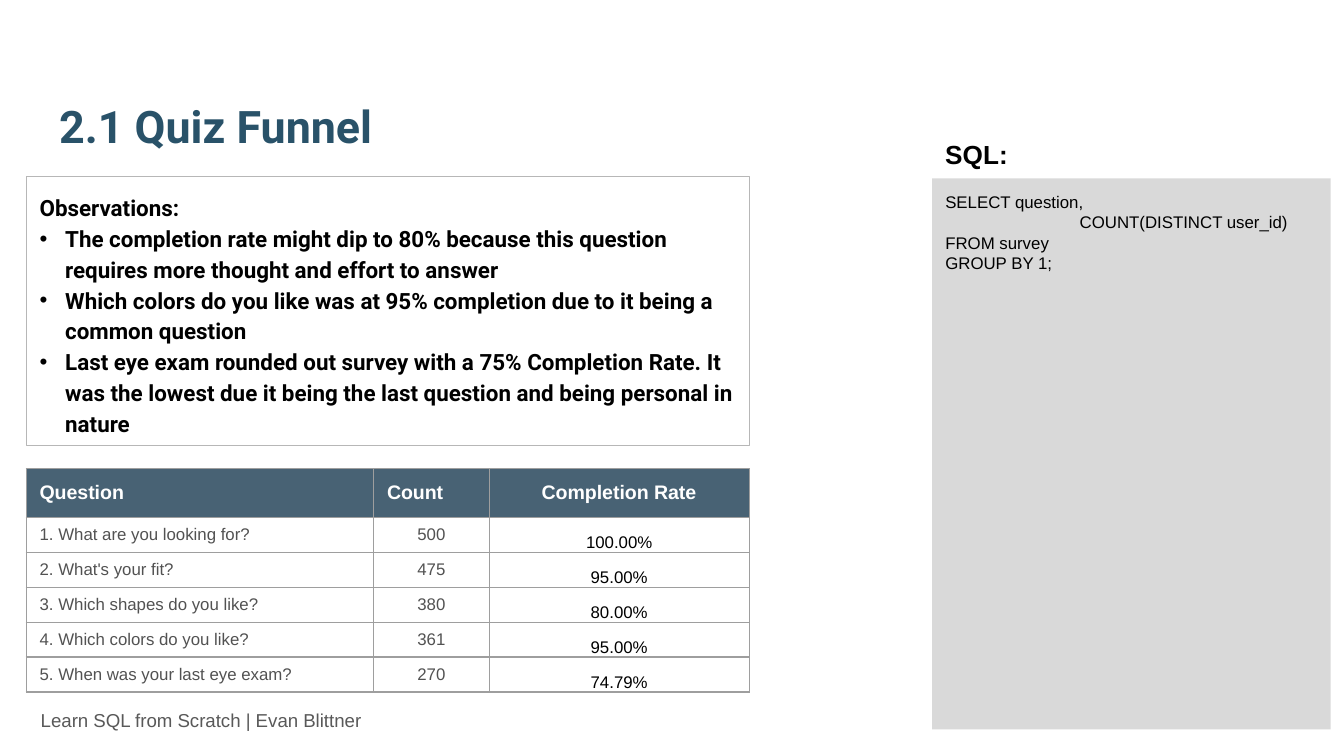
"""Builds the quiz funnel slide with its observations, result table and query."""
from dataclasses import dataclass

from lxml.etree import SubElement
from pptx import Presentation
from pptx.dml.color import RGBColor
from pptx.enum.shapes import MSO_SHAPE as Shape
from pptx.enum.text import MSO_ANCHOR as Anchor, MSO_AUTO_SIZE as AutoSize, PP_ALIGN as Align
from pptx.oxml.ns import qn
from pptx.util import Inches, Pt


@dataclass(frozen=True)
class Theme:
    """Colours, fonts and type sizes of the slide."""
    title: str = "295269"
    ink: str = "000000"
    muted: str = "595959"
    cell: str = "525252"
    white: str = "FFFFFF"
    header: str = "204056"
    header_alpha: int = 82
    panel: str = "D9D9D9"
    frame: str = "B7B7B7"
    border: str = "9E9E9E"
    display: str = "Roboto"
    plain: str = "Arial"
    title_size: float = 24
    label_size: float = 14
    list_size: float = 12
    header_size: float = 10.5
    footer_size: float = 10
    small_size: float = 9
    line: float = 0.75


class SlideBuilder:
    """Places styled elements on one slide, measured in percent of its size."""

    def __init__(self, deck, theme):
        """Adds the slide and keeps its theme."""
        self.deck, self.theme = deck, theme
        self.page = deck.slides.add_slide(deck.slide_layouts[1])

    def area(self, left, top, width, height):
        """Turns percentages into slide lengths."""
        column, row = self.deck.slide_width / 100, self.deck.slide_height / 100
        return int(left * column), int(top * row), int(width * column), int(height * row)

    def move(self, shape, place):
        """Moves a placeholder to its place."""
        shape.left, shape.top, shape.width, shape.height = self.area(*place)

    def frame(self, box, anchor=Anchor.TOP, inset=0.1):
        """Sets wrapping, anchor and equal insets of a text frame."""
        text = box.text_frame
        text.word_wrap, text.auto_size, text.vertical_anchor = True, AutoSize.NONE, anchor
        text.margin_left = text.margin_right = Inches(inset)
        text.margin_top = text.margin_bottom = Inches(inset)
        return text

    def format(self, text, size, color, font=None, bold=False, align=Align.LEFT):
        """Formats every paragraph and run of a text frame."""
        for para in text.paragraphs:
            para.alignment = align
            for span in para.runs:
                span.font.size, span.font.bold = Pt(size), bold
                span.font.name = font or self.theme.plain
                span.font.color.rgb = RGBColor.from_string(color)

    def title(self, words, place):
        """Fills the title placeholder."""
        box = self.page.shapes.title
        self.move(box, place)
        text = self.frame(box, Anchor.BOTTOM)
        text.text = words
        self.format(text, self.theme.title_size, self.theme.title, self.theme.display, True)

    def bullets(self, heading, items, place):
        """Fills the framed body placeholder with a heading and bullets."""
        box = self.page.placeholders[1]
        self.move(box, place)
        box.line.color.rgb = RGBColor.from_string(self.theme.frame)
        box.line.width = Pt(self.theme.line)
        text = self.frame(box)
        text.text = "\n".join([heading, *items])
        for index, para in enumerate(text.paragraphs):
            indent = Inches(0.19) if index else 0
            props = para._p.get_or_add_pPr()
            props.set("marL", str(indent))
            props.set("indent", str(-indent))
            if index:
                color = SubElement(props, qn("a:buClr"))
                SubElement(color, qn("a:srgbClr"), val=self.theme.ink)
                SubElement(props, qn("a:buFont"), typeface=self.theme.plain)
                SubElement(props, qn("a:buChar"), char="•")
            else:
                SubElement(props, qn("a:buNone"))
            para.line_spacing, para.space_before = 1.15, Pt(0)
        self.format(text, self.theme.list_size, self.theme.ink, self.theme.display, True)

    def code(self, lines, place):
        """Adds a grey panel with code and one tab stop."""
        panel = self.page.shapes.add_shape(Shape.RECTANGLE, *self.area(*place))
        panel.shadow.inherit = False
        panel.fill.solid()
        panel.fill.fore_color.rgb = RGBColor.from_string(self.theme.panel)
        panel.line.fill.background()
        text = self.frame(panel)
        text.text = "\n".join(lines)
        for para in text.paragraphs:
            tabs = SubElement(para._p.get_or_add_pPr(), qn("a:tabLst"))
            SubElement(tabs, qn("a:tab"), pos=str(Inches(1)), algn="l")
        self.format(text, self.theme.small_size, self.theme.ink)

    def footer(self, words, place):
        """Adds the footer line."""
        text = self.frame(self.page.shapes.add_textbox(*self.area(*place)), Anchor.MIDDLE)
        text.text = words
        self.format(text, self.theme.footer_size, self.theme.muted)

    def label(self, words, place):
        """Adds a bold label that grows with its words."""
        text = self.page.shapes.add_textbox(*self.area(*place)).text_frame
        text.word_wrap, text.auto_size = False, AutoSize.SHAPE_TO_FIT_TEXT
        text.text = words
        self.format(text, self.theme.label_size, self.theme.ink, bold=True)

    def borders(self, cell):
        """Draws the four borders of a cell."""
        props = cell._tc.get_or_add_tcPr()
        for side in ("lnL", "lnR", "lnT", "lnB"):
            line = SubElement(props, qn(f"a:{side}"), w=str(Pt(self.theme.line)))
            SubElement(SubElement(line, qn("a:solidFill")), qn("a:srgbClr"), val=self.theme.border)

    def header_cell(self, cell, align):
        """Styles a cell of the header row."""
        cell.fill.solid()
        cell.fill.fore_color.rgb = RGBColor.from_string(self.theme.header)
        color = cell._tc.tcPr.find(qn("a:solidFill")).find(qn("a:srgbClr"))
        SubElement(color, qn("a:alpha"), val=str(self.theme.header_alpha * 1000))
        cell.margin_top = cell.margin_bottom = Inches(0.1)
        self.format(cell.text_frame, self.theme.header_size, self.theme.white, bold=True, align=align)

    def body_cell(self, cell, column):
        """Styles a cell below the header by its column."""
        cell.fill.background()
        cell.vertical_anchor, color = Anchor.MIDDLE, self.theme.cell
        if column == 2:
            cell.vertical_anchor, color = Anchor.BOTTOM, self.theme.ink
            cell.margin_left = cell.margin_right = cell.margin_top = Inches(0.01)
            cell.margin_bottom = 0
        align = Align.CENTER if column else Align.LEFT
        self.format(cell.text_frame, self.theme.small_size, color, align=align)

    def table(self, rows, widths, heights, left, top):
        """Adds a bordered table whose first row is the header."""
        place = self.area(left, top, sum(widths), sum(heights))
        table = self.page.shapes.add_table(len(rows), len(widths), *place).table
        table.first_row = table.horz_banding = False
        for column, width in zip(table.columns, widths):
            column.width = self.area(0, 0, width, 0)[2]
        for row, height in zip(table.rows, heights):
            row.height = self.area(0, 0, 0, height)[3]
        for row, values in enumerate(rows):
            for column, value in enumerate(values):
                cell = table.cell(row, column)
                cell.text = value
                cell.margin_left = cell.margin_right = Inches(0.1)
                self.borders(cell)
                if row:
                    self.body_cell(cell, column)
                else:
                    self.header_cell(cell, Align.CENTER if column == 2 else Align.LEFT)


def main():
    """Builds and saves the deck."""
    deck = Presentation()
    deck.slide_width, deck.slide_height = Inches(10), Inches(10) * 9 // 16
    slide = SlideBuilder(deck, Theme())
    slide.footer("Learn SQL from Scratch | Evan Blittner", (2.05, 91.5, 28, 7.6))
    slide.title("2.1 Quiz Funnel", (3.4, 5.6, 93.2, 16.4))
    slide.code(["SELECT question,", "\tCOUNT(DISTINCT user_id)", "FROM survey", "GROUP BY 1;"],
               (69.35, 23.6, 29.65, 72.9))
    slide.bullets("Observations:", [
        "The completion rate might dip to 80% because this question requires more thought and effort to answer",
        "Which colors do you like was at 95% completion due to it being a common question",
        "Last eye exam rounded out survey with a 75% Completion Rate. It was the lowest due it being the "
        "last question and being personal in nature",
    ], (1.95, 23.35, 53.8, 35.6))
    slide.table([
        ("Question", "Count", "Completion Rate"),
        ("1. What are you looking for?", "500", "100.00%"),
        ("2. What's your fit?", "475", "95.00%"),
        ("3. Which shapes do you like?", "380", "80.00%"),
        ("4. Which colors do you like?", "361", "95.00%"),
        ("5. When was your last eye exam?", "270", "74.79%"),
    ], (25.85, 8.6, 19.35), [6.4] + [4.62] * 5, 1.95, 62)
    slide.label("SQL:", (69.35, 17.4, 6.7, 6))
    deck.save("out.pptx")


if __name__ == "__main__":
    main()
